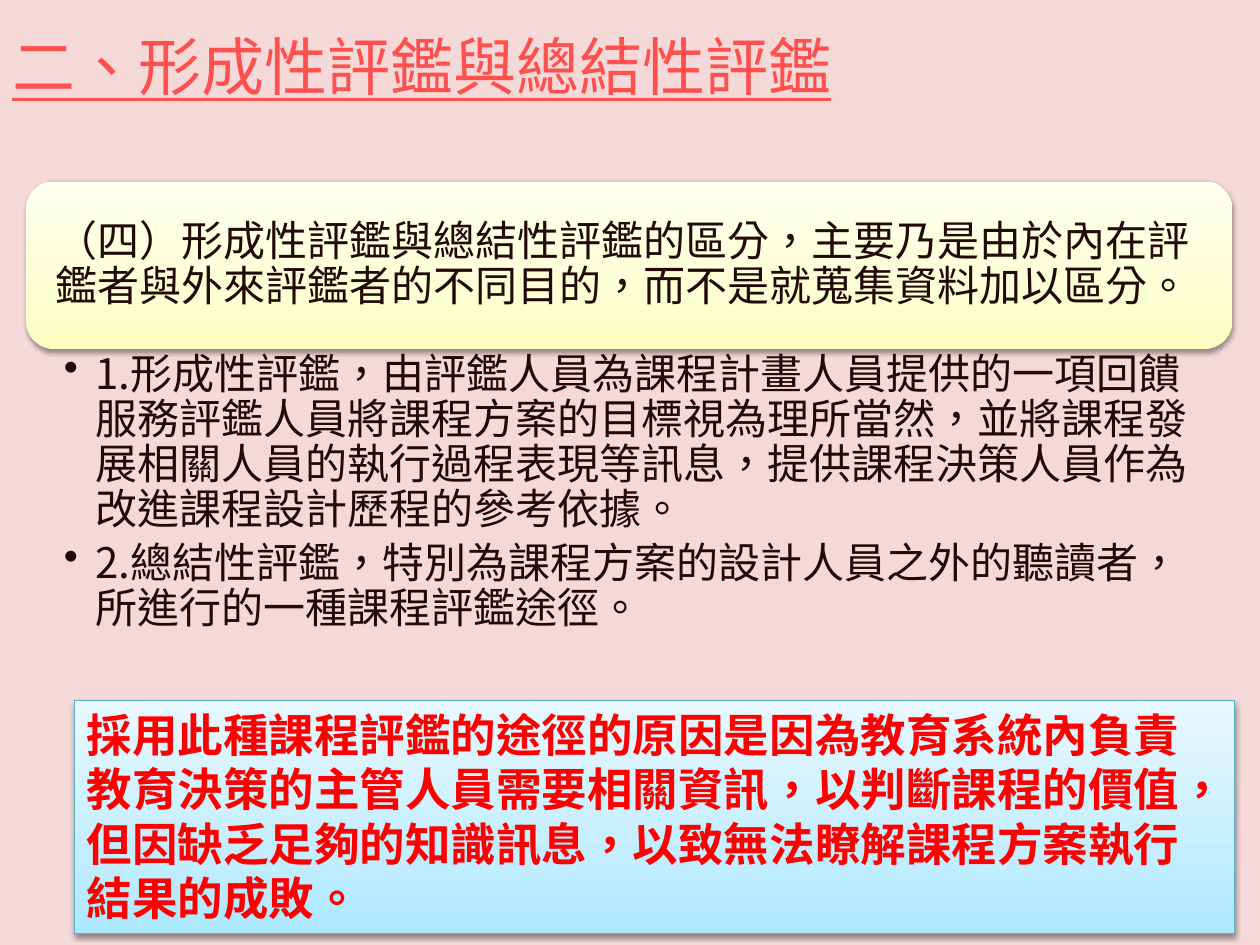
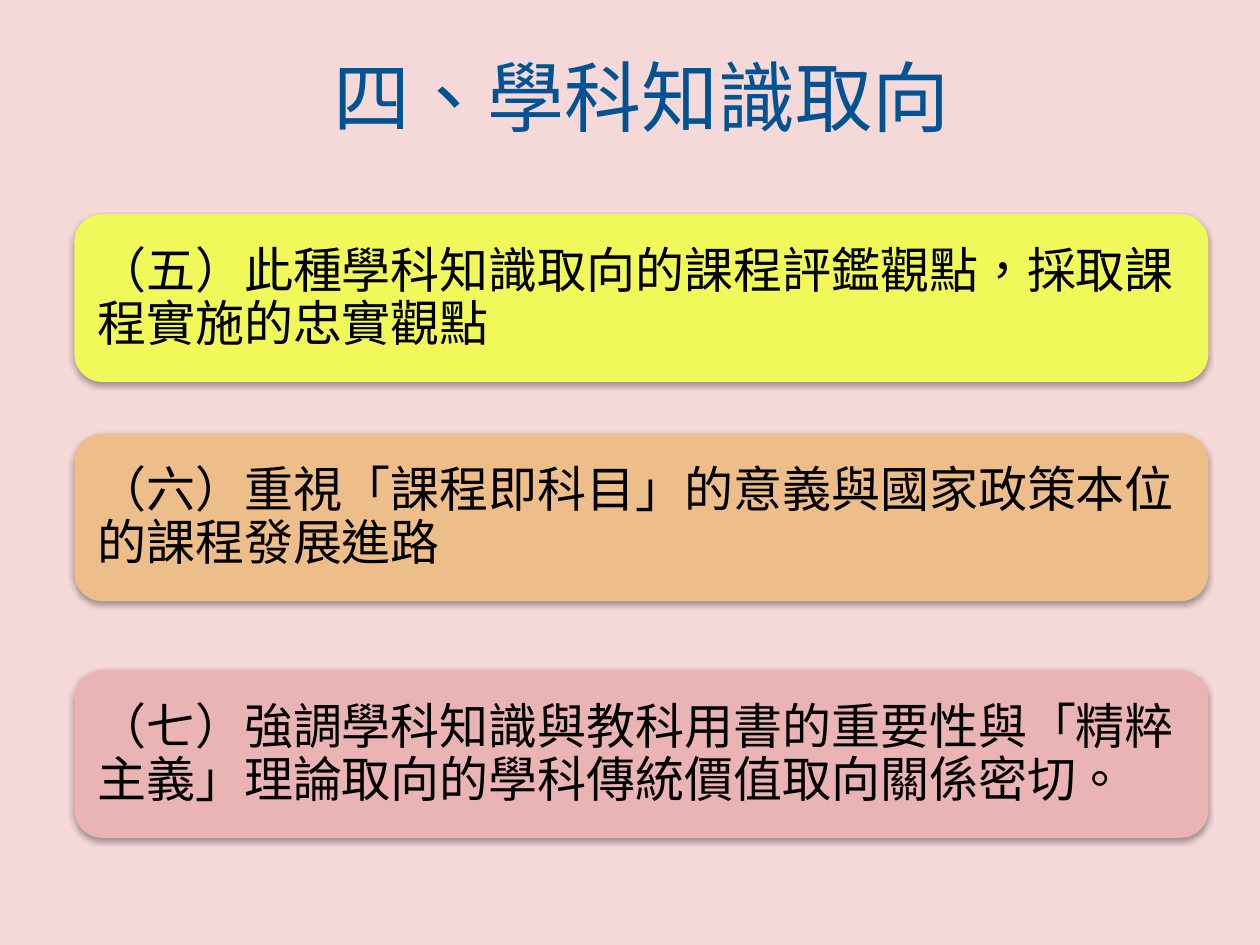
import pptx
import pptx.util
import pptx.dml.color
import pptx.enum.shapes
import pptx.enum.text
import pptx.oxml.ns
from lxml import etree

Cm, Pt = pptx.util.Cm, pptx.util.Pt
RGB = pptx.dml.color.RGBColor.from_string
KIND = pptx.enum.shapes.MSO_SHAPE
ANCHOR = pptx.enum.text.MSO_ANCHOR
ALIGN = pptx.enum.text.PP_ALIGN
qn = pptx.oxml.ns.qn

FONT = "Noto Sans CJK SC"
HUES = {
    "back": "F5D9D9", "coral": "FF5050", "navy": "005392", "red": "FF0000",
    "dark": "240909", "black": "000000", "edge": "5AB0C7",
    "lime": "F1F859", "sand": "EEBE8A", "rose": "EBB4B4",
}
SKY = [(0, "ACE8FF"), (35, "C4EEFF"), (100, "E8F8FF")]
CREAM = [(0, "FBFFC0"), (35, "FCFFD3"), (100, "FEFFEE")]


def write(shape, lines, size, hue, pitch=None, inset=(0.25, 0.13, 0.25, 0.13),
          anchor=ANCHOR.MIDDLE, align=ALIGN.LEFT, bold=False, under=False,
          bullet=False):
    """Fill a shape with paragraphs of one style; pitch is the line height in points."""
    frame = shape.text_frame
    frame.word_wrap = True
    frame.vertical_anchor = anchor
    (frame.margin_left, frame.margin_top,
     frame.margin_right, frame.margin_bottom) = map(Cm, inset)
    for n, line in enumerate(lines):
        para = frame.add_paragraph() if n else frame.paragraphs[0]
        run = para.add_run()
        run.text = line
        run._r.get_or_add_rPr().set("lang", "zh-TW")
        para.alignment = align
        if pitch:
            para.line_spacing = Pt(pitch)
        if bullet:
            para.space_after = Pt(5)
            props = para._p.get_or_add_pPr()
            props.set("marL", str(Cm(0.64)))
            props.set("indent", str(Cm(-0.64)))
            etree.SubElement(props, qn("a:buChar"), char="•")
        font = para.font
        font.name, font.size = FONT, Pt(size)
        font.bold, font.underline = bold, under
        font.color.rgb = RGB(HUES[hue])
        etree.SubElement(font._element, qn("a:ea"), typeface=FONT)


def panel(slide, kind, box, fill, dim, drop):
    """Add a shape with a soft shadow; fill is a colour name or gradient stops."""
    shape = slide.shapes.add_shape(kind, *map(Cm, box))
    shape.line.fill.background()
    if isinstance(fill, str):
        shape.fill.solid()
        shape.fill.fore_color.rgb = RGB(HUES[fill])
    else:
        shape.fill.gradient()
        shape.fill.gradient_angle = 90
        stops = shape._element.spPr.find(".//" + qn("a:gsLst"))
        for old in list(stops):
            stops.remove(old)
        for place, tint in fill:
            stop = etree.SubElement(stops, qn("a:gs"), pos=str(place * 1000))
            etree.SubElement(stop, qn("a:srgbClr"), val=tint)
    shape.shadow.inherit = False
    glow = etree.SubElement(
        shape._element.spPr.find(qn("a:effectLst")), qn("a:outerShdw"),
        blurRad=str(Pt(3.1)), dist=str(Pt(drop)), dir="5400000", rotWithShape="0")
    shade = etree.SubElement(glow, qn("a:srgbClr"), val=HUES["black"])
    etree.SubElement(shade, qn("a:alpha"), val=str(dim * 1000))
    return shape


deck = pptx.Presentation()
deck.slide_width, deck.slide_height = Cm(25.4), Cm(19.05)

# Each slide: title, left, top, size, colour, alignment, underline
heads = [
    ("二、形成性評鑑與總結性評鑑", 0, -0.28, 36, "coral", ALIGN.LEFT, True),
    ("四、學科知識取向", 1.5, 0.33, 44, "navy", ALIGN.CENTER, False),
]
slides = []
for text, left, top, size, hue, align, under in heads:
    slide = deck.slides.add_slide(deck.slide_layouts[6])
    slide.background.fill.solid()
    slide.background.fill.fore_color.rgb = RGB(HUES["back"])
    title = slide.shapes.add_textbox(Cm(left), Cm(top), Cm(22.86), Cm(3.18))
    write(title, [text], size, hue, align=align, under=under)
    slides.append(slide)
types, subject = slides

# Formative and summative evaluation
reason = panel(types, KIND.RECTANGLE, (1.5, 14.12, 23.39, 4.7), SKY, 38, 1.6)
reason.line.color.rgb = RGB(HUES["edge"])
reason.line.width = Pt(0.75)
write(reason, ["採用此種課程評鑑的途徑的原因是因為教育系統內負責教育決策的主管人員需要相關資訊，"
               "以判斷課程的價值，但因缺乏足夠的知識訊息，以致無法瞭解課程方案執行結果的成敗。"],
      26, "red", 31.1, anchor=ANCHOR.TOP, bold=True)

point = panel(types, KIND.ROUNDED_RECTANGLE, (0.53, 3.66, 24.31, 3.38), CREAM, 38, 1.6)
write(point, ["（四）形成性評鑑與總結性評鑑的區分，主要乃是由於內在評鑑者與外來評鑑者的不同目的，"
              "而不是就蒐集資料加以區分。"],
      24, "dark", 25.7, inset=(0.43,) * 4)

notes = types.shapes.add_textbox(Cm(0.53), Cm(7.04), Cm(24.31), Cm(6.55))
write(notes, ["1.形成性評鑑，由評鑑人員為課程計畫人員提供的一項回饋服務評鑑人員將課程方案的目標視為理所當然，"
              "並將課程發展相關人員的執行過程表現等訊息，提供課程決策人員作為改進課程設計歷程的參考依據。",
              "2.總結性評鑑，特別為課程方案的設計人員之外的聽讀者，所進行的一種課程評鑑途徑。"],
      24, "dark", 25.7, inset=(0.76, 0.08, 0.48, 0.08), anchor=ANCHOR.TOP, bullet=True)

# Subject knowledge approach
views = [
    (4.32, "lime", "（五）此種學科知識取向的課程評鑑觀點，採取課程實施的忠實觀點"),
    (8.74, "sand", "（六）重視「課程即科目」的意義與國家政策本位的課程發展進路"),
    (13.51, "rose", "（七）強調學科知識與教科用書的重要性與「精粹主義」理論取向的學科傳統價值取向關係密切。"),
]
for top, fill, text in views:
    card = panel(subject, KIND.ROUNDED_RECTANGLE, (1.5, top, 22.86, 3.38), fill, 35, 1.8)
    write(card, [text], 28, "black", 30.3, inset=(0.3,) * 4)

deck.save("out.pptx")
